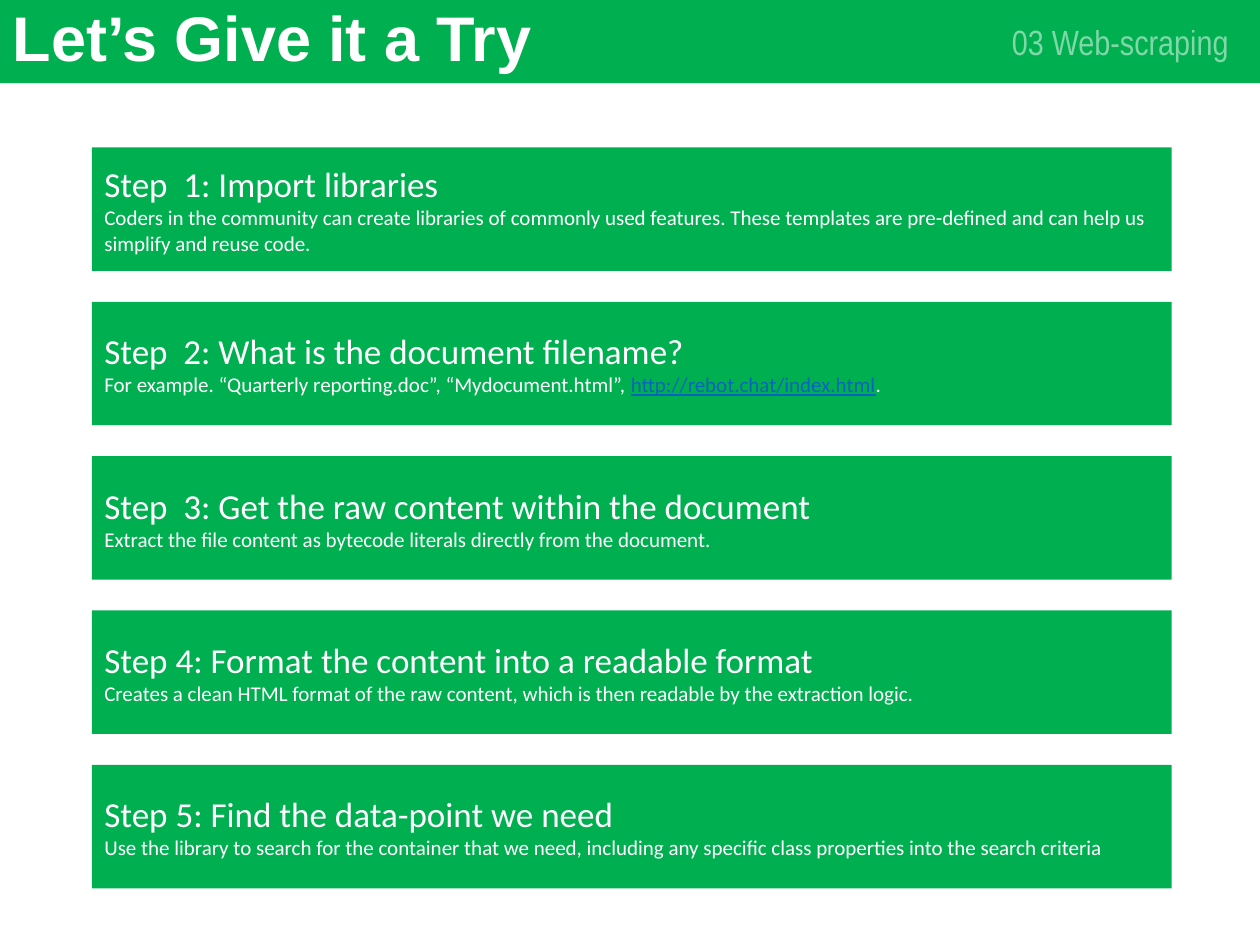
"""Build the web-scraping slide that lists five steps in equal green bars."""
import dataclasses

import lxml.etree
import pptx
import pptx.dml.color
import pptx.enum.shapes
import pptx.enum.text
import pptx.oxml.ns
import pptx.util

ALIGN = pptx.enum.text.PP_ALIGN
COLUMNS, ROWS = 100, 75


@dataclasses.dataclass(frozen=True)
class Theme:
    green: str = "00B050"
    white: str = "FFFFFF"
    link: str = "0563C1"
    title_font: str = "Arial"
    label_font: str = "Arial Narrow"
    body_font: str = "Calibri"
    title_size: int = 36
    heading_size: int = 20
    detail_size: int = 12


def write(para, text, *, font, size, color, bold=False, underline=False, opacity=None):
    span = para.add_run()
    span.text = text
    span.font.name = font
    span.font.size = pptx.util.Pt(size)
    span.font.bold = bold
    span.font.underline = underline
    span.font.fill.solid()
    span.font.fill.fore_color.rgb = pptx.dml.color.RGBColor.from_string(color)
    if opacity is not None:
        tint = span.font.fill.fore_color
        tint.rgb = pptx.dml.color.RGBColor.from_string(color)
        swatch = span.font._element.find(".//" + pptx.oxml.ns.qn("a:srgbClr"))
        alpha = lxml.etree.SubElement(swatch, pptx.oxml.ns.qn("a:alpha"))
        alpha.set("val", str(opacity * 1000))


class SlideBuilder:
    def __init__(self, deck, theme):
        self.deck = deck
        self.theme = theme
        self.page = deck.slides.add_slide(deck.slide_layouts.get_by_name("Title Only"))

    def area(self, column, row, columns, rows):
        wide, high = self.deck.slide_width / COLUMNS, self.deck.slide_height / ROWS
        return [round(n) for n in (column * wide, row * high, columns * wide, rows * high)]

    def frame(self, box):
        frame = box.text_frame
        frame.word_wrap = True
        frame.auto_size = pptx.enum.text.MSO_AUTO_SIZE.NONE
        frame.vertical_anchor = pptx.enum.text.MSO_ANCHOR.MIDDLE
        return frame

    def bar(self, *place):
        kind = pptx.enum.shapes.MSO_SHAPE.RECTANGLE
        box = self.page.shapes.add_shape(kind, *self.area(*place))
        box.shadow.inherit = False
        box.fill.solid()
        box.fill.fore_color.rgb = pptx.dml.color.RGBColor.from_string(self.theme.green)
        box.line.fill.background()
        return box

    def title(self, text, *place):
        box = self.page.shapes.title
        box.left, box.top, box.width, box.height = self.area(*place)
        para = self.frame(box).paragraphs[0]
        para.alignment = ALIGN.LEFT
        para.line_spacing = 0.9
        write(para, text, font=self.theme.title_font, size=self.theme.title_size,
              color=self.theme.white, bold=True)

    def banner(self, *place):
        self.page.shapes.title.element.addprevious(self.bar(*place).element)

    def label(self, text, *place):
        box = self.page.shapes.add_textbox(*self.area(*place))
        para = self.frame(box).paragraphs[0]
        para.alignment = ALIGN.RIGHT
        write(para, text, font=self.theme.label_font, size=self.theme.heading_size,
              color=self.theme.white, opacity=50)

    def step(self, heading, details, *place):
        frame = self.frame(self.bar(*place))
        style = {"font": self.theme.body_font, "color": self.theme.white}
        first, second = frame.paragraphs[0], frame.add_paragraph()
        first.alignment = second.alignment = ALIGN.LEFT
        write(first, heading, size=self.theme.heading_size, **style)
        for text, is_link in details:
            look = {**style, "color": self.theme.link, "underline": True} if is_link else style
            write(second, text, size=self.theme.detail_size, **look)


STEPS = [
    ("Step  1: Import libraries",
     [("Coders in the community can create libraries of commonly used features. "
       "These templates are pre-defined and can help us simplify and reuse code.", False)]),
    ("Step  2: What is the document filename?",
     [("For example. “Quarterly reporting.doc”, “Mydocument.html”, ", False),
      ("http://rebot.chat/index.html", True),
      (".", False)]),
    ("Step  3: Get the raw content within the document",
     [("Extract the file content as bytecode literals directly from the document.", False)]),
    ("Step 4: Format the content into a readable format",
     [("Creates a clean HTML format of the raw content, "
       "which is then readable by the extraction logic.", False)]),
    ("Step 5: Find the data-point we need",
     [("Use the library to search for the container that we need, "
       "including any specific class properties into the search criteria", False)]),
]


def main():
    deck = pptx.Presentation()
    deck.slide_width = pptx.util.Inches(10)
    deck.slide_height = pptx.util.Inches(7.5)
    slide = SlideBuilder(deck, Theme())
    slide.banner(0, 0, COLUMNS, 6.6)
    slide.title("Let’s Give it a Try", 0, 0, 86.2, 6.6)
    slide.label("03 Web-scraping", 77.6, 1.3, 20.9, 4)
    first_row, pitch = 11.7, 12.25
    for index, (heading, details) in enumerate(STEPS):
        slide.step(heading, details, 7.3, first_row + index * pitch, 85.7, 9.8)
    deck.save("out.pptx")


if __name__ == "__main__":
    main()
